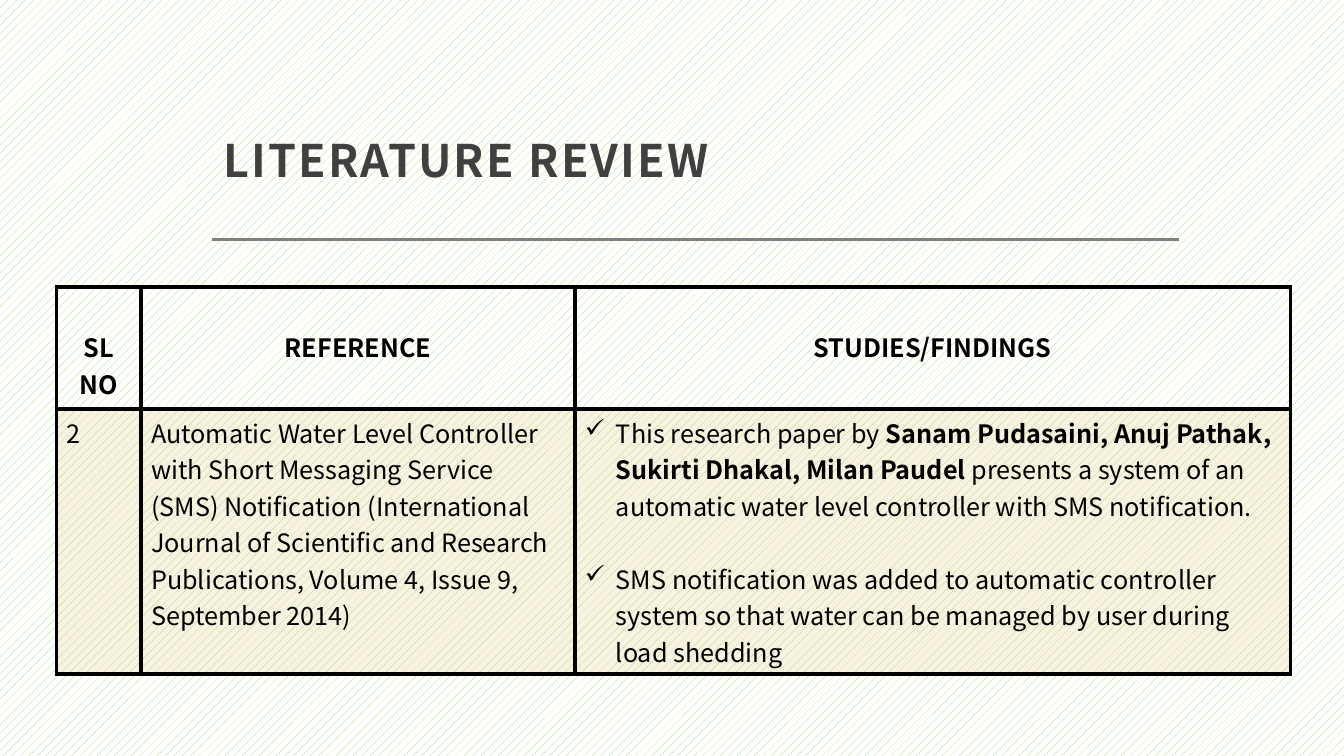
from dataclasses import dataclass

from lxml import etree
from pptx import Presentation
from pptx.dml.color import RGBColor
from pptx.enum import dml, shapes, text
from pptx.oxml import ns
from pptx.util import Inches, Pt


@dataclass(frozen=True)
class Theme:
    font: str = "Noto Sans CJK JP"
    title_size: int = 32
    body_size: int = 18
    title: str = "404040"
    ink: str = "000000"
    rule: str = "808080"
    hatch: str = "92D050"
    paper: str = "FFFFFF"
    cell: str = "E0C171"
    cell_opacity: int = 20
    border_width: int = 3


THEME = Theme()
HEADERS = ["SL NO", "REFERENCE", "STUDIES/FINDINGS"]
REFERENCE = (
    "Automatic Water Level Controller with Short Messaging Service (SMS) Notification "
    "(International Journal of Scientific and Research Publications, Volume 4, Issue 9, "
    "September 2014)"
)
# Each finding is a list of (text, bold) runs.
FINDINGS = [
    [
        ("This research paper by", False),
        (" Sanam Pudasaini, Anuj Pathak, Sukirti Dhakal, Milan Paudel ", True),
        ("presents a system of an automatic water level controller with SMS notification.", False),
    ],
    [
        ("SMS notification was added to automatic controller system so that water can be "
         "managed by user during load shedding", False),
    ],
]
COLUMN_WIDTHS = [0.84, 4.3, 7.1]
ROW_HEIGHTS = [1.21, 2.63]
BLANK_LINE = 26  # points taken by one line of body text


def color(value):
    return RGBColor.from_string(value)


def add_element(parent, tag, **attributes):
    return etree.SubElement(parent, ns.qn(tag), attributes)


def add_text(paragraph, content, size=THEME.body_size, ink=THEME.ink, bold=False, spacing=None):
    run = paragraph.add_run()
    run.text = content
    run.font.name = THEME.font
    run.font.size = Pt(size)
    run.font.bold = bold
    run.font.color.rgb = color(ink)
    if spacing:
        run.font._element.set("spc", str(round(spacing * 100)))


def add_check_bullet(paragraph, indent=0.31):
    properties = paragraph._p.get_or_add_pPr()
    properties.set("marL", str(Inches(indent)))
    properties.set("indent", str(-Inches(indent)))
    add_element(properties, "a:buChar", char="✓")


def set_borders(cell):
    properties = cell._tc.get_or_add_tcPr()
    for position, tag in enumerate(("a:lnL", "a:lnR", "a:lnT", "a:lnB")):
        line = etree.Element(ns.qn(tag), w=str(Pt(THEME.border_width)))
        fill = add_element(line, "a:solidFill")
        add_element(fill, "a:srgbClr", val=THEME.ink)
        properties.insert(position, line)


def tint(cell):
    cell.fill.solid()
    cell.fill.fore_color.rgb = color(THEME.cell)
    fill_color = cell._tc.tcPr.find(f"{ns.qn('a:solidFill')}/{ns.qn('a:srgbClr')}")
    add_element(fill_color, "a:alpha", val=str(THEME.cell_opacity * 1000))


def set_background(slide):
    fill = slide.background.fill
    fill.patterned()
    fill.pattern = dml.MSO_PATTERN.PERCENT_20
    fill.fore_color.rgb = color(THEME.hatch)
    fill.back_color.rgb = color(THEME.paper)


def add_title(slide, left, top, width, height):
    """Bottom-anchored title with a rule beneath it."""
    box = slide.shapes.add_textbox(Inches(left), Inches(top), Inches(width), Inches(height))
    frame = box.text_frame
    frame.word_wrap = True
    frame.vertical_anchor = text.MSO_ANCHOR.BOTTOM
    frame.margin_left = frame.margin_top = frame.margin_right = Inches(0.12)
    frame.margin_bottom = Inches(0.1)
    paragraph = frame.paragraphs[0]
    paragraph.line_spacing = 1.3
    add_text(paragraph, "LITERATURE REVIEW", size=THEME.title_size, ink=THEME.title,
             bold=True, spacing=1.5)

    rule_y = Inches(top + height + 0.43)
    rule = slide.shapes.add_connector(
        shapes.MSO_CONNECTOR.STRAIGHT, Inches(left), rule_y, Inches(left + width), rule_y)
    rule.line.color.rgb = color(THEME.rule)
    rule.line.width = Pt(2)
    add_element(rule._element.spPr, "a:effectLst")


def fill_header(cell, label):
    cell.fill.background()
    cell.margin_top = Inches(0.41)
    paragraph = cell.text_frame.paragraphs[0]
    paragraph.alignment = text.PP_ALIGN.CENTER
    add_text(paragraph, label, bold=True)


def fill_findings(cell):
    frame = cell.text_frame
    for index, runs in enumerate(FINDINGS):
        paragraph = frame.add_paragraph() if index else frame.paragraphs[0]
        if index:
            paragraph.space_before = Pt(BLANK_LINE)
        add_check_bullet(paragraph)
        for content, bold in runs:
            add_text(paragraph, content, bold=bold)


def add_review_table(slide, left, top):
    frame = slide.shapes.add_table(
        len(ROW_HEIGHTS), len(COLUMN_WIDTHS), Inches(left), Inches(top),
        Inches(sum(COLUMN_WIDTHS)), Inches(sum(ROW_HEIGHTS)))
    table = frame.table
    table.first_row = table.horz_banding = False
    for column, width in zip(table.columns, COLUMN_WIDTHS):
        column.width = Inches(width)
    for row, height in zip(table.rows, ROW_HEIGHTS):
        row.height = Inches(height)

    header, entry = table.rows
    for cell, label in zip(header.cells, HEADERS):
        fill_header(cell, label)
    number, reference, findings = entry.cells
    add_text(number.text_frame.paragraphs[0], "2")
    add_text(reference.text_frame.paragraphs[0], REFERENCE)
    fill_findings(findings)
    for cell in entry.cells:
        tint(cell)
    for cell in table.iter_cells():
        set_borders(cell)


def main():
    presentation = Presentation()
    presentation.slide_width = Inches(13.33)
    presentation.slide_height = Inches(7.5)
    slide = presentation.slides.add_slide(presentation.slide_layouts[6])
    set_background(slide)
    add_title(slide, 2.1, 0.48, 9.59, 1.47)
    add_review_table(slide, 0.56, 2.85)
    presentation.save("out.pptx")


if __name__ == "__main__":
    main()
